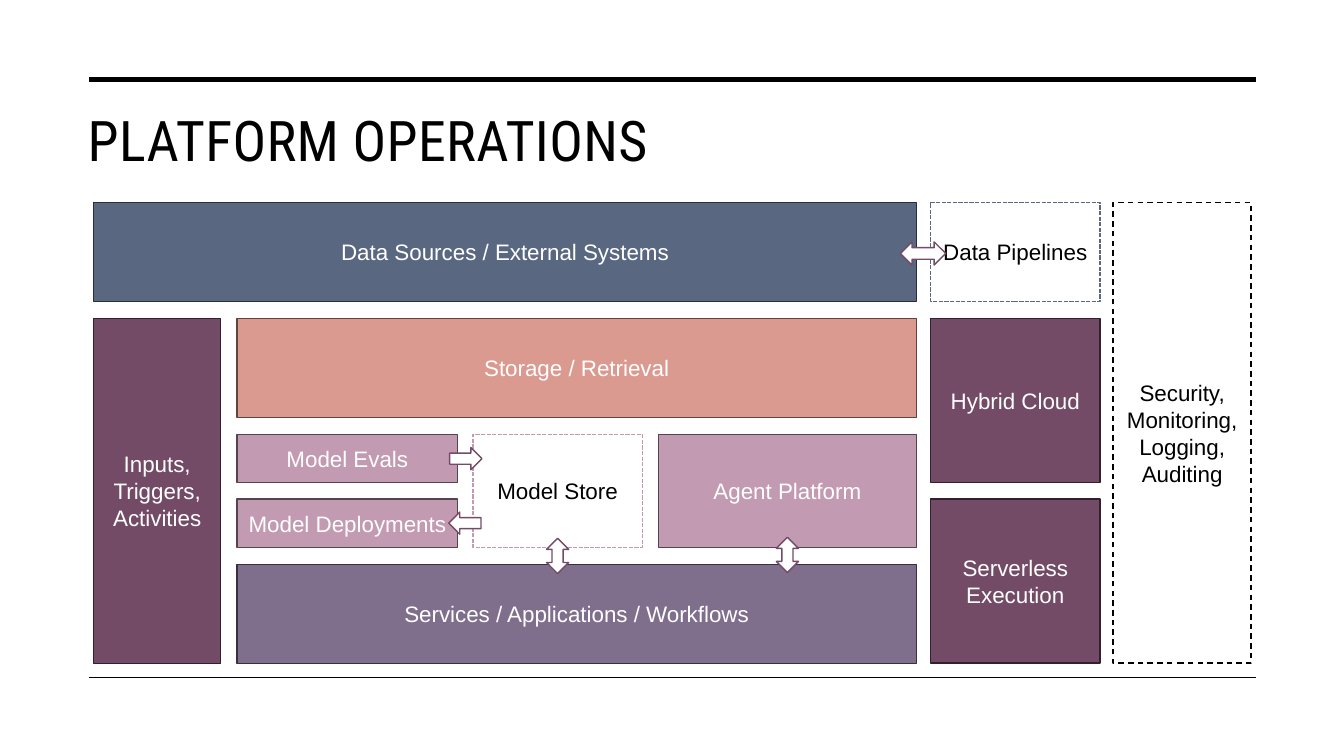
"""Build the platform operations block diagram slide."""
from pptx import Presentation
from pptx import util as u
from pptx.dml.color import RGBColor
from pptx.enum import dml, shapes, text
from pptx.oxml.ns import qn
from lxml import etree

BLACK = RGBColor(0x00, 0x00, 0x00)
WHITE = RGBColor(0xFF, 0xFF, 0xFF)
BLUE = RGBColor(0x59, 0x67, 0x81)
BLUE_EDGE = RGBColor(0x27, 0x2D, 0x39)
CORAL = RGBColor(0xDB, 0x9A, 0x8F)
CORAL_EDGE = RGBColor(0x60, 0x43, 0x3F)
PINK = RGBColor(0xC2, 0x9A, 0xB1)
PINK_EDGE = RGBColor(0x55, 0x43, 0x4E)
PLUM = RGBColor(0x73, 0x4B, 0x67)
PLUM_EDGE = RGBColor(0x32, 0x21, 0x2D)
VIOLET = RGBColor(0x7F, 0x6E, 0x8C)
VIOLET_EDGE = RGBColor(0x38, 0x30, 0x3D)

SOLID = dml.MSO_LINE.SOLID
DASH = dml.MSO_LINE.DASH
SYS_DASH = dml.MSO_LINE.SQUARE_DOT
KIND = shapes.MSO_SHAPE

COLS = [(0.93, 2.19), (2.35, 4.54), (4.69, 6.37), (6.53, 9.09), (9.23, 10.91), (11.04, 12.41)]
ROWS = [(2.01, 2.99), (3.16, 4.14), (4.31, 4.79), (4.95, 5.43), (5.6, 6.58)]

prs = Presentation()
prs.slide_width, prs.slide_height = u.Inches(13.33), u.Inches(7.5)
s = prs.slides.add_slide(prs.slide_layouts[5])


def add_block(kind, left, top, width, height, fill, edge, dash=SOLID):
    sp = s.shapes.add_shape(kind, *map(u.Inches, (left, top, width, height)))
    sp.shadow.inherit = False
    sp.fill.solid()
    sp.fill.fore_color.rgb = fill
    sp.line.color.rgb = edge
    sp.line.width = u.Pt(1)
    sp.line.dash_style = dash
    return sp


def write(tf, words, align, anchor, font):
    tf.word_wrap = True
    tf.vertical_anchor = anchor
    p = tf.paragraphs[0]
    p.alignment = align
    r = p.add_run()
    r.text = words
    r.font.color.rgb = font.pop("color")
    for name, value in font.items():
        setattr(r.font, name, value)
    return r


for y, weight in ((0.79, 3.5), (6.72, 1)):
    rule = s.shapes.add_connector(shapes.MSO_CONNECTOR.STRAIGHT,
                                  *map(u.Inches, (0.88, y, 12.46, y)))
    rule.line.color.rgb = BLACK
    rule.line.width = u.Pt(weight)
    etree.SubElement(rule._element.spPr, qn("a:effectLst"))

title = s.shapes.title
for side, length in dict(left=0.77, top=1, width=11.69, height=1.43).items():
    setattr(title, side, u.Inches(length))
r = write(title.text_frame, "PLATFORM OPERATIONS", text.PP_ALIGN.LEFT, text.MSO_ANCHOR.TOP,
          dict(name="Roboto Condensed", size=u.Pt(40), color=BLACK))
r.font._element.set("spc", "30")

blocks = [
    ("Data Sources / External Systems", 0, 3, 0, 0, BLUE, BLUE_EDGE, SOLID),
    ("Storage / Retrieval", 1, 3, 1, 1, CORAL, CORAL_EDGE, SOLID),
    ("Model Evals", 1, 1, 2, 2, PINK, PINK_EDGE, SOLID),
    ("Model Deployments", 1, 1, 3, 3, PINK, PINK_EDGE, SOLID),
    ("Model Store", 2, 2, 2, 3, WHITE, PINK, SYS_DASH),
    ("Agent Platform", 3, 3, 2, 3, PINK, PINK_EDGE, SOLID),
    ("Inputs, Triggers, Activities", 0, 0, 1, 4, PLUM, PLUM_EDGE, SOLID),
    ("Services / Applications / Workflows", 1, 3, 4, 4, VIOLET, VIOLET_EDGE, SOLID),
    ("Data Pipelines", 4, 4, 0, 0, WHITE, BLUE, SYS_DASH),
    ("Hybrid Cloud", 4, 4, 1, 2, PLUM, PLUM_EDGE, SOLID),
    ("Serverless Execution", 4, 4, 3, 4, PLUM, PLUM_EDGE, SOLID),
    ("Security, Monitoring, Logging, Auditing", 5, 5, 0, 4, WHITE, BLACK, DASH),
]
for words, col, last_col, row, last_row, fill, edge, dash in blocks:
    left, top = COLS[col][0], ROWS[row][0]
    sp = add_block(KIND.RECTANGLE, left, top, COLS[last_col][1] - left,
                   ROWS[last_row][1] - top, fill, edge, dash)
    write(sp.text_frame, words, text.PP_ALIGN.CENTER, text.MSO_ANCHOR.MIDDLE,
          dict(name="Arial", size=u.Pt(16), color=BLACK if fill == WHITE else WHITE))

arrows = [
    (KIND.LEFT_RIGHT_ARROW, 8.93, 2.4, 0.45, 0.23, 0),
    (KIND.UP_DOWN_ARROW, 5.42, 5.34, 0.22, 0.35, 0),
    (KIND.UP_DOWN_ARROW, 7.7, 5.33, 0.22, 0.35, 0),
    (KIND.LEFT_ARROW, 4.45, 5.08, 0.32, 0.22, 0),
    (KIND.LEFT_ARROW, 4.46, 4.44, 0.32, 0.22, 180),
]
for kind, left, top, width, height, turn in arrows:
    add_block(kind, left, top, width, height, WHITE, PLUM).rotation = turn

prs.save("out.pptx")
